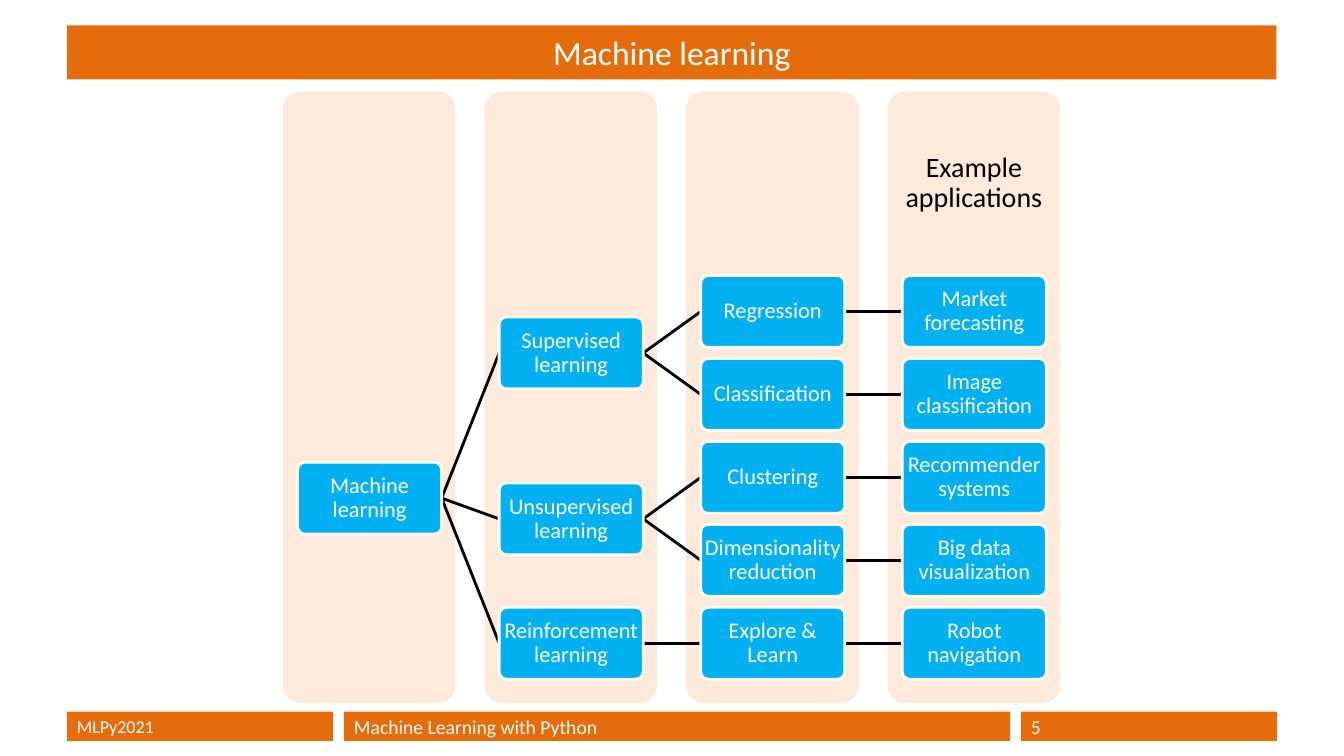
from dataclasses import dataclass
from itertools import count

from lxml.etree import SubElement
from pptx import Presentation
from pptx.dml.color import RGBColor as RGB
from pptx.enum.shapes import MSO_CONNECTOR as CONN, MSO_SHAPE as SHAPE
from pptx.enum.text import MSO_ANCHOR as ANCHOR, PP_ALIGN as ALIGN
from pptx.oxml.ns import qn
from pptx.util import Cm, Pt


@dataclass(frozen=True)
class Theme:
    font: str = "Calibri"
    bar: RGB = RGB(0xE4, 0x6C, 0x0A)
    column: RGB = RGB(0xFD, 0xEA, 0xDA)
    node: RGB = RGB(0x00, 0xB0, 0xF0)
    light: RGB = RGB(0xFF, 0xFF, 0xFF)
    dark: RGB = RGB(0x00, 0x00, 0x00)
    title: float = 24
    heading: float = 20
    label: float = 16
    footer: float = 14
    footer_small: float = 12.9
    stroke: float = 2


COLUMN_LEFT, COLUMN_TOP, COLUMN_W, COLUMN_H, COLUMN_STEP = 7.13, 2.31, 4.35, 15.4, 5.08
NODE_LEFT, NODE_W, NODE_H = 7.5, 3.63, 1.81
FIRST_ROW, ROW_STEP = 7.85, 2.09

TREE = ("Machine learning", [
    ("Supervised learning", [
        ("Regression", [("Market forecasting", [])]),
        ("Classification", [("Image classification", [])]),
    ]),
    ("Unsupervised learning", [
        ("Clustering", [("Recommender systems", [])]),
        ("Dimensionality reduction", [("Big data visualization", [])]),
    ]),
    ("Reinforcement learning", [
        ("Explore & Learn", [("Robot navigation", [])]),
    ]),
])


class Deck:
    """Draws styled elements on the current slide."""

    def __init__(self, prs, theme):
        self.theme = theme
        self.slide = prs.slides.add_slide(prs.slide_layouts[6])
        self.shapes = self.slide.shapes

    def box(self, kind, x, y, w, h, fill, line=None):
        s = self.shapes.add_shape(kind, Cm(x), Cm(y), Cm(w), Cm(h))
        s.shadow.inherit = False
        s.fill.solid()
        s.fill.fore_color.rgb = fill
        if line is None:
            s.line.fill.background()
        else:
            s.line.color.rgb = line
            s.line.width = Pt(self.theme.stroke)
        if kind == SHAPE.ROUNDED_RECTANGLE:
            s.adjustments[0] = 0.1
        return s

    def label(self, s, text, size, color, align=ALIGN.CENTER, inset=None, spacing=None):
        tf = s.text_frame
        tf.word_wrap = True
        tf.vertical_anchor = ANCHOR.MIDDLE
        if inset is not None:
            tf.margin_left = tf.margin_right = tf.margin_top = tf.margin_bottom = Cm(inset)
        p = tf.paragraphs[0]
        p.text = text
        p.alignment = align
        p.line_spacing = spacing
        p.font.name = self.theme.font
        p.font.size = Pt(size)
        p.font.color.rgb = color

    def bar(self, x, y, w, h, text, size, align=ALIGN.LEFT):
        s = self.box(SHAPE.RECTANGLE, x, y, w, h, self.theme.bar)
        self.label(s, text, size, self.theme.light, align)

    def column(self, x):
        self.box(SHAPE.ROUNDED_RECTANGLE, x, COLUMN_TOP, COLUMN_W, COLUMN_H,
                 self.theme.column)

    def heading(self, x, text):
        s = self.shapes.add_textbox(Cm(x), Cm(COLUMN_TOP), Cm(COLUMN_W), Cm(4.62))
        self.label(s, text, self.theme.heading, self.theme.dark, inset=0.4, spacing=0.9)

    def node(self, x, y, text):
        s = self.box(SHAPE.ROUNDED_RECTANGLE, x, y - NODE_H / 2, NODE_W, NODE_H,
                     self.theme.node, self.theme.light)
        self.label(s, text, self.theme.label, self.theme.light, inset=0.02, spacing=0.9)
        return s

    def link(self, parent, child):
        c = self.shapes.add_connector(CONN.STRAIGHT, 0, 0, 0, 0)
        c.begin_connect(parent, 3)
        c.end_connect(child, 1)
        c.line.color.rgb = self.theme.dark
        c.line.width = Pt(self.theme.stroke)
        SubElement(c._element.spPr, qn("a:effectLst"))
        child._element.addprevious(c._element)

    def branch(self, tree, rows, depth=0):
        text, subtrees = tree
        children = [self.branch(t, rows, depth + 1) for t in subtrees]
        if children:
            y = (children[0][1] + children[-1][1]) / 2
        else:
            y = FIRST_ROW + next(rows) * ROW_STEP
        s = self.node(NODE_LEFT + depth * COLUMN_STEP, y, text)
        for child, _ in children:
            self.link(s, child)
        return s, y


def main():
    prs = Presentation()
    prs.slide_width, prs.slide_height = Cm(33.87), Cm(19.05)
    theme = Theme()
    deck = Deck(prs, theme)

    deck.bar(1.69, 0.64, 30.48, 1.36, "Machine learning", theme.title, ALIGN.CENTER)
    for x, w, text, size in (
        (1.69, 6.71, "MLPy2021", theme.footer_small),
        (8.67, 16.79, "Machine Learning with Python", theme.footer),
        (25.73, 6.45, "5", theme.footer),
    ):
        deck.bar(x, 17.93, w, 0.74, text, size)

    columns = [COLUMN_LEFT + i * COLUMN_STEP for i in range(4)]
    for x in columns:
        deck.column(x)
    deck.heading(columns[-1], "Example applications")
    deck.branch(TREE, count())
    prs.save("out.pptx")


if __name__ == "__main__":
    main()
